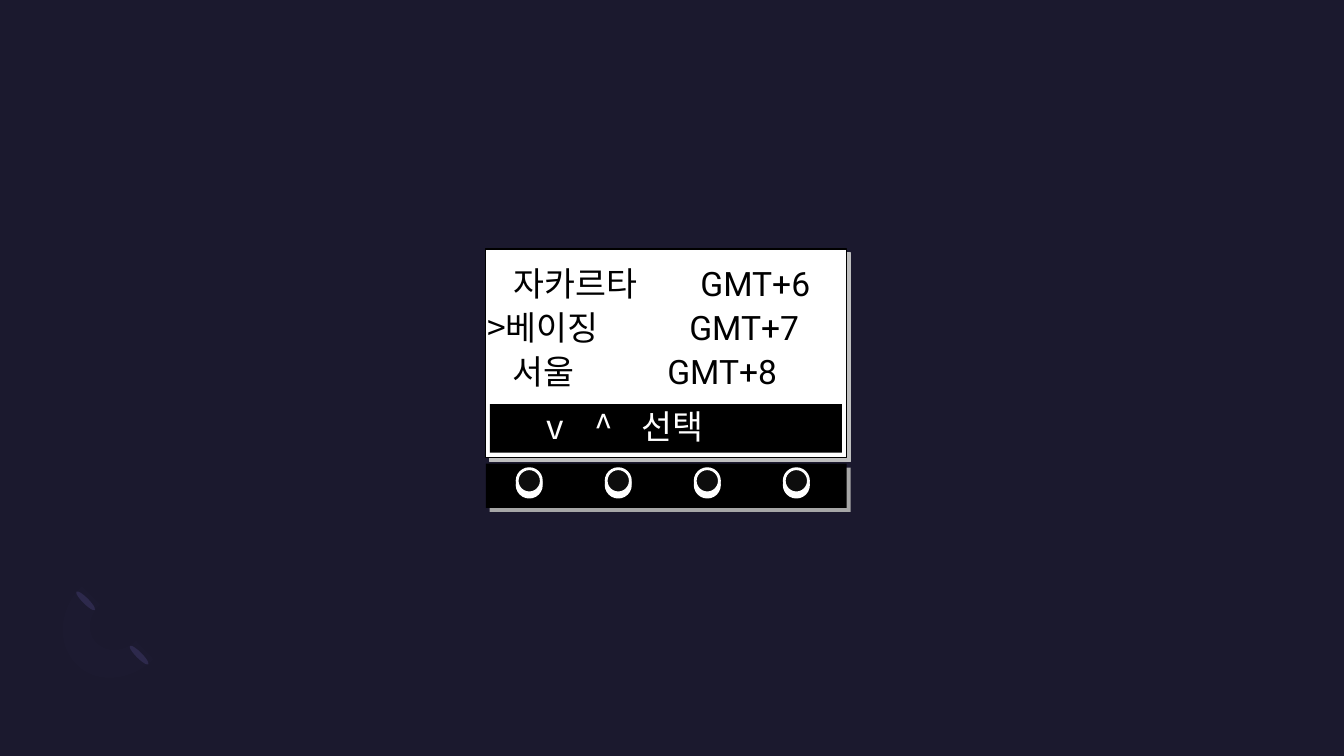
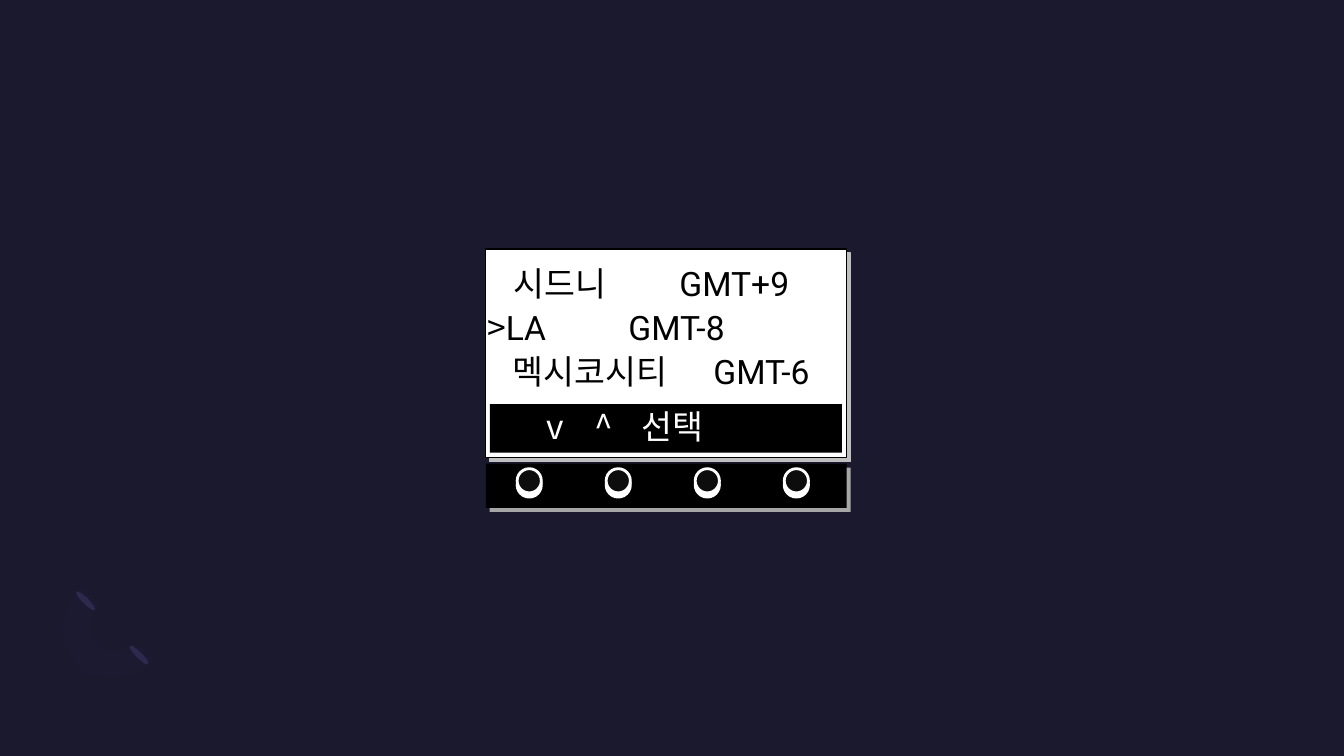
"""Build two slides of a time zone picker on a small device screen."""
from lxml import etree
from pptx import Presentation
from pptx.dml.color import RGBColor
from pptx.enum.shapes import MSO_SHAPE as SHAPE
from pptx.oxml.ns import qn
from pptx.util import Pt

NIGHT = RGBColor(0x1B, 0x19, 0x2E)
PETAL = RGBColor(0x2C, 0x28, 0x4A)
ARC = RGBColor(0x77, 0x71, 0xB2)
WHITE = RGBColor(0xFF, 0xFF, 0xFF)
BLACK = RGBColor(0, 0, 0)
KNOB = RGBColor(0x0D, 0x0D, 0x0D)
SCREEN_SHADOW = RGBColor(0xBF, 0xBF, 0xBF)
PANEL_SHADOW = RGBColor(0xA6, 0xA6, 0xA6)
HANGUL, LATIN = "Noto Sans CJK KR", "Roboto"

SLIDES = [
    [([("자카르타", HANGUL)], "GMT+6", 500.3),
     ([(">베이징", HANGUL)], "GMT+7", 492.4),
     ([("서울", HANGUL)], "GMT+8", 476.7)],
    [([("시드니", HANGUL)], "GMT+9", 485.3),
     ([(">", HANGUL), ("LA", LATIN)], "GMT-8", 448.9),
     ([("멕시코시티", HANGUL)], "GMT-6", 509.6)],
]
MENU = "v\t^\t선택"
MENU_LEFT, MENU_TOP, MENU_TABS = 390.5, 290.2, (425, 458.5)
ROW_LEFTS, ROW_TOP, ROW_STEP = (367, 348, 366), 187.9, 31.3
TEXT_RIGHT, TEXT_HEIGHT = 604, 36
SCREEN = (347, 178, 257.8, 149)
MENU_BAR = (350, 288.7, 251.3, 34.6)
PANEL = (347, 331.2, 257.8, 31.7)
KNOB_LEFT, KNOB_TOP, KNOB_SIZE, KNOB_STEP, KNOBS = 369.4, 334.8, 17.3, 63.6, 4
PETALS = [(97.2, 458.6), (59, 419.8)]
ARC_START = (54.7, 474.5)
ARC_PATH = [
    [(40.3, 460.1), (41.8, 435.6), (58.3, 419)],
    [(71.3, 432)],
    [(62.6, 439.9), (61.9, 452.9), (69.1, 459.4)],
    [(76.3, 466.6), (88.6, 465.8), (97.2, 457.9)],
    [(109.4, 470.9)],
    [(93.6, 486.7), (68.4, 488.9), ARC_START],
]
CURVE_STEPS = 12


def add_shape(s, kind, box, fill, line=None, shadow=None):
    sp = s.shapes.add_shape(kind, *map(Pt, box))
    sp.fill.solid()
    sp.fill.fore_color.rgb = fill
    if line:
        sp.line.color.rgb, sp.line.width = line[0], Pt(line[1])
    else:
        sp.line.fill.background()
    sp.shadow.inherit = False
    if shadow:
        color, dist, angle = shadow
        effects = sp._element.spPr.find(qn("a:effectLst"))
        outer = etree.SubElement(effects, qn("a:outerShdw"), blurRad="0", dist=str(Pt(dist)),
                                 dir=str(angle * 60000), algn="tl", rotWithShape="0")
        etree.SubElement(outer, qn("a:srgbClr"), val=str(color))
    return sp


def add_line(s, left, top, runs, tabs, color):
    box = s.shapes.add_textbox(Pt(left), Pt(top), Pt(TEXT_RIGHT - left), Pt(TEXT_HEIGHT))
    tf = box.text_frame
    tf.word_wrap = True
    tf.margin_left = tf.margin_right = tf.margin_top = tf.margin_bottom = 0
    p = tf.paragraphs[0]
    stops = etree.SubElement(p._p.get_or_add_pPr(), qn("a:tabLst"))
    for x in tabs:
        etree.SubElement(stops, qn("a:tab"), pos=str(Pt(x - left)), algn="l")
    p.font.size, p.font.color.rgb = Pt(24), color
    for text, font in runs:
        r = p.add_run()
        r.text, r.font.name = text, font
        etree.SubElement(r._r.get_or_add_rPr(), qn("a:ea"), typeface=HANGUL)


def curve_points(start, controls):
    points = [start, *controls]
    for i in range(1, CURVE_STEPS + 1):
        t = i / CURVE_STEPS
        weights = ((1 - t) ** 3, 3 * t * (1 - t) ** 2, 3 * t * t * (1 - t), t ** 3)
        yield tuple(sum(w * pt[axis] for w, pt in zip(weights, points)) for axis in (0, 1))


def add_ornament(s):
    for left, top in PETALS:
        add_shape(s, SHAPE.OVAL, (left, top, 4.3, 18.7), PETAL).rotation = 135
    outline, start = [], ARC_START
    for controls in ARC_PATH:
        outline += curve_points(start, controls) if len(controls) == 3 else controls
        start = controls[-1]
    builder = s.shapes.build_freeform(*map(Pt, ARC_START))
    builder.add_line_segments([(Pt(x), Pt(y)) for x, y in outline], close=True)
    sp = builder.convert_to_shape()
    sp.shadow.inherit = False
    sp.line.fill.background()
    sp.fill.solid()
    sp.fill.fore_color.rgb = ARC
    color = sp._element.spPr.find(qn("a:solidFill"))[0]
    etree.SubElement(color, qn("a:alpha"), val="2000")


def add_device(s, rows):
    add_shape(s, SHAPE.RECTANGLE, SCREEN, WHITE, (BLACK, 1), (SCREEN_SHADOW, 4, 45))
    add_shape(s, SHAPE.RECTANGLE, MENU_BAR, BLACK)
    add_line(s, MENU_LEFT, MENU_TOP, [(MENU, HANGUL)], MENU_TABS, WHITE)
    for i, (city, zone, zone_left) in enumerate(rows):
        runs = [*city, ("\t" + zone, LATIN)]
        add_line(s, ROW_LEFTS[i], ROW_TOP + i * ROW_STEP, runs, [zone_left], BLACK)
    add_shape(s, SHAPE.RECTANGLE, PANEL, BLACK, shadow=(PANEL_SHADOW, 4, 45))
    for i in range(KNOBS):
        box = (KNOB_LEFT + i * KNOB_STEP, KNOB_TOP, KNOB_SIZE, KNOB_SIZE)
        add_shape(s, SHAPE.OVAL, box, KNOB, (WHITE, 2), (WHITE, 3, 90))


def main():
    prs = Presentation()
    prs.slide_width, prs.slide_height = Pt(960), Pt(540)
    background = prs.slide_master.background.fill
    background.solid()
    background.fore_color.rgb = NIGHT
    for rows in SLIDES:
        s = prs.slides.add_slide(prs.slide_layouts[6])
        add_ornament(s)
        add_device(s, rows)
    prs.save("out.pptx")


if __name__ == "__main__":
    main()
